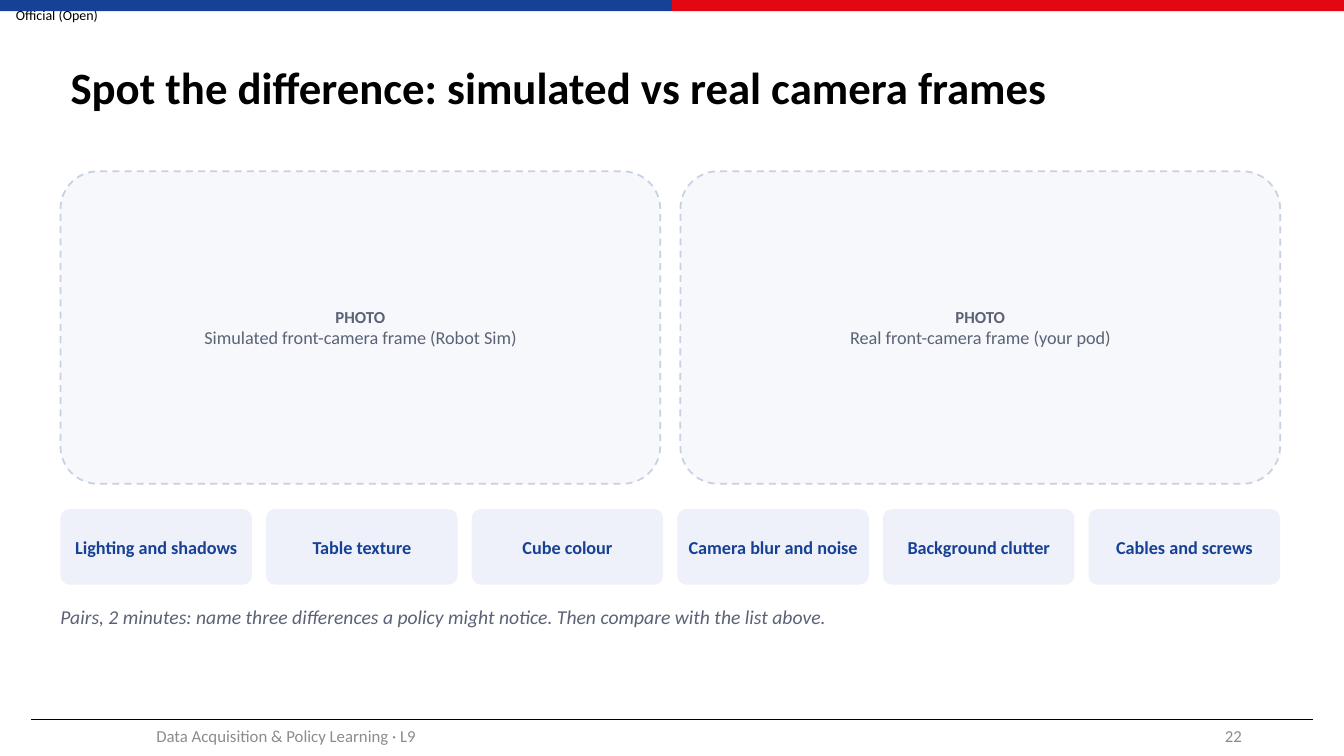
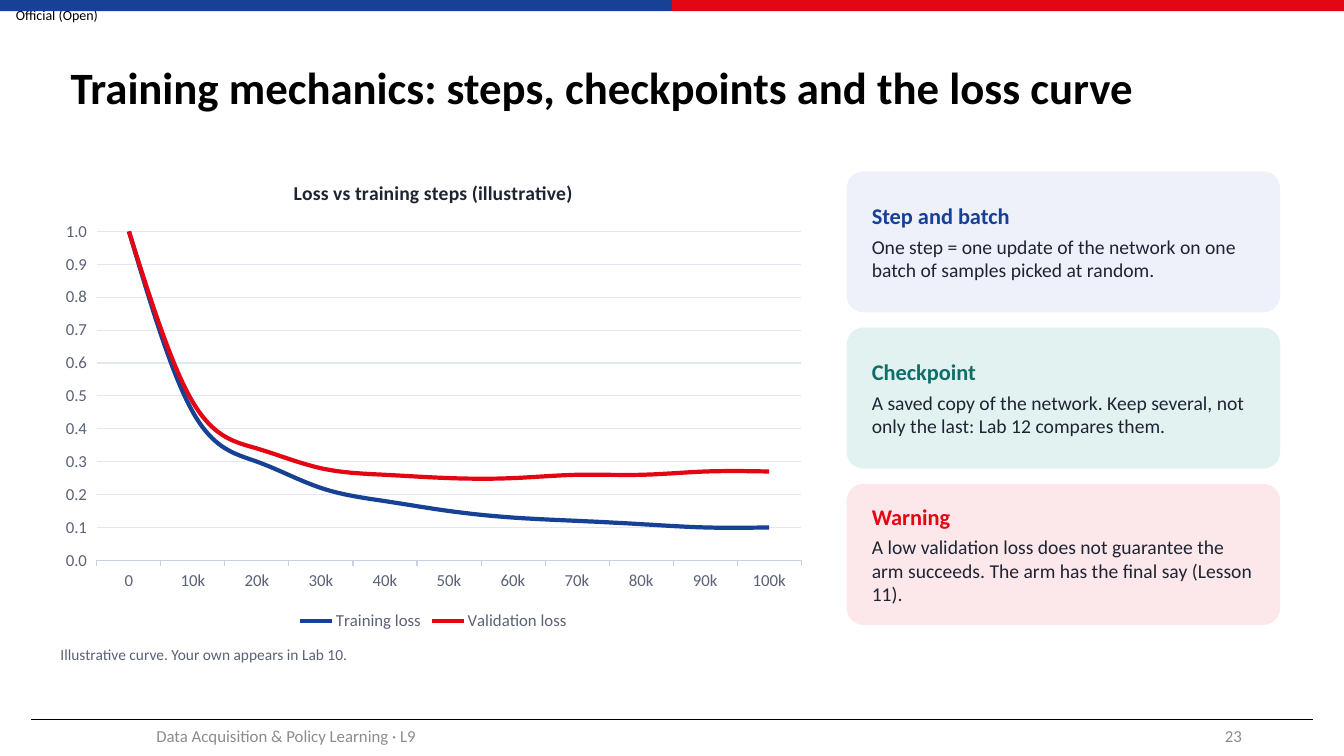
import pptx
import pptx.chart.data
import pptx.dml.color
import pptx.enum.chart
import pptx.enum.dml
import pptx.enum.shapes
import pptx.enum.text
import pptx.oxml
import pptx.util
from lxml import etree

Pt = pptx.util.Pt
RGBColor = pptx.dml.color.RGBColor
ALIGN = pptx.enum.text.PP_ALIGN
ANCHOR = pptx.enum.text.MSO_ANCHOR
SHAPE = pptx.enum.shapes.MSO_SHAPE

FONT = "Calibri"
BLACK = RGBColor(0x00, 0x00, 0x00)
BLUE = RGBColor(0x16, 0x41, 0x94)
RED = RGBColor(0xE3, 0x06, 0x13)
TEAL = RGBColor(0x0F, 0x6E, 0x6A)
INK = RGBColor(0x1F, 0x24, 0x33)
SLATE = RGBColor(0x5B, 0x62, 0x75)
GREY = RGBColor(0x8C, 0x8C, 0x8C)
BORDER = RGBColor(0xC9, 0xD0, 0xE3)
GRID = RGBColor(0xE3, 0xE7, 0xF0)
PALE_GREY = RGBColor(0xF7, 0xF8, 0xFC)
PALE_BLUE = RGBColor(0xEE, 0xF1, 0xF9)
PALE_TEAL = RGBColor(0xE2, 0xF2, 0xF1)
PALE_RED = RGBColor(0xFC, 0xE8, 0xEA)

SLIDE_WIDTH, SLIDE_HEIGHT = 960, 540
LEFT, TOP, CONTENT_WIDTH = 43.2, 122.4, 871.2
CORNER = 0.12

TITLE = {"size": Pt(32), "bold": True, "color": BLACK}
TAG = {"size": Pt(10), "color": BLACK}
FOOTER = {"size": Pt(12), "color": GREY}
PHOTO_LABEL = {"size": Pt(12), "bold": True, "color": SLATE}
PHOTO_TEXT = {"size": Pt(13), "bold": False, "color": SLATE}
CHIP = {"size": Pt(13), "bold": True, "color": BLUE}
TASK = {"size": Pt(14), "italic": True, "color": SLATE}
CAPTION = {"size": Pt(11), "color": SLATE}
CARD_TEXT = {"size": Pt(14), "bold": False, "color": INK}
CHART_TEXT = {"size": Pt(12), "color": SLATE}
CHART_TITLE = {"size": Pt(14), "bold": True, "color": INK}

FOOTER_TEXT = "Data Acquisition & Policy Learning · L9"
DIFFERENCES = [
    "Lighting and shadows", "Table texture", "Cube colour",
    "Camera blur and noise", "Background clutter", "Cables and screws",
]
STEPS = ["0"] + [f"{thousands}k" for thousands in range(10, 101, 10)]
LOSSES = [
    ("Training loss", BLUE,
     [1, 0.45, 0.3, 0.22, 0.18, 0.15, 0.13, 0.12, 0.11, 0.1, 0.1]),
    ("Validation loss", RED,
     [1, 0.48, 0.34, 0.28, 0.26, 0.25, 0.25, 0.26, 0.26, 0.27, 0.27]),
]
CARDS = [
    ("Step and batch", BLUE, PALE_BLUE,
     "One step = one update of the network on one batch of samples picked at random."),
    ("Checkpoint", TEAL, PALE_TEAL,
     "A saved copy of the network. Keep several, not only the last: Lab 12 compares them."),
    ("Warning", RED, PALE_RED,
     "A low validation loss does not guarantee the arm succeeds. "
     "The arm has the final say (Lesson 11)."),
]


def points(*lengths):
    return [Pt(length) for length in lengths]


def format_font(font, formats):
    for name, value in {"name": FONT, **formats}.items():
        if name == "color":
            font.color.rgb = value
        else:
            setattr(font, name, value)


def write(shape, lines, align=ALIGN.LEFT, anchor=ANCHOR.MIDDLE,
          margins=(7.2, 3.6), space_after=0):
    """Fill a shape with (text, font formats) paragraphs; margins are side, top and bottom."""
    frame = shape.text_frame
    side, edge = points(*margins)
    frame_formats = {
        "word_wrap": True, "vertical_anchor": anchor,
        "auto_size": pptx.enum.text.MSO_AUTO_SIZE.NONE,
        "margin_left": side, "margin_right": side,
        "margin_top": edge, "margin_bottom": edge,
    }
    for name, value in frame_formats.items():
        setattr(frame, name, value)
    for index, (text, formats) in enumerate(lines):
        paragraph = frame.add_paragraph() if index else frame.paragraphs[0]
        paragraph.alignment = align
        if index < len(lines) - 1:
            paragraph.space_after = Pt(space_after)
        run = paragraph.add_run()
        run.text = text
        format_font(run.font, formats)


def add_text(slide, box, text, formats, **layout):
    shape = slide.shapes.add_textbox(*points(*box))
    write(shape, [(text, formats)], **layout)


def add_panel(slide, box, fill, kind=SHAPE.ROUNDED_RECTANGLE):
    shape = slide.shapes.add_shape(kind, *points(*box))
    shape.shadow.inherit = False
    shape.fill.solid()
    shape.fill.fore_color.rgb = fill
    shape.line.fill.background()
    if kind == SHAPE.ROUNDED_RECTANGLE:
        shape.adjustments[0] = CORNER
    return shape


def add_rule(slide, left, right, top):
    rule = slide.shapes.add_connector(
        pptx.enum.shapes.MSO_CONNECTOR.STRAIGHT, *points(left, top, right, top))
    rule.line.color.rgb = BLACK
    rule.line.width = Pt(0.5)
    etree.SubElement(rule._element.spPr, pptx.oxml.ns.qn("a:effectLst"))


def add_slide(presentation, title, number):
    """Add a slide with the shared bands, tag, title and footer."""
    slide = presentation.slides.add_slide(presentation.slide_layouts[5])
    half = SLIDE_WIDTH / 2
    add_text(slide, (0, 0, 81.4, 20.9), "Official (Open)", TAG,
             align=ALIGN.CENTER, margins=(0, 0))
    for index, color in enumerate((BLUE, RED)):
        add_panel(slide, (index * half, 0, half, 7.9), color, SHAPE.RECTANGLE)
    add_rule(slide, 22.3, 938.2, 514.1)
    heading = slide.shapes.title
    heading.left, heading.top, heading.width, heading.height = points(LEFT, 21.6, 869.8, 85)
    write(heading, [(title, TITLE)])
    heading.text_frame.paragraphs[0].line_spacing = 0.9
    add_text(slide, (42.5, 511.2, 324, 28.8), FOOTER_TEXT, FOOTER, align=ALIGN.CENTER)
    add_text(slide, (678.2, 511.2, 216, 28.8), str(number), FOOTER, align=ALIGN.RIGHT)
    return slide


def add_photo_frame(slide, box, description):
    frame = add_panel(slide, box, PALE_GREY)
    frame.line.color.rgb = BORDER
    frame.line.width = Pt(1.25)
    frame.line.dash_style = pptx.enum.dml.MSO_LINE.DASH
    write(frame, [("PHOTO", PHOTO_LABEL), (description, PHOTO_TEXT)],
          align=ALIGN.CENTER, margins=(8.6, 4.3))


def add_chip(slide, box, text):
    write(add_panel(slide, box, PALE_BLUE), [(text, CHIP)],
          align=ALIGN.CENTER, margins=(4.3, 2.9))


def add_card(slide, box, heading, color, fill, text):
    heading_format = {"size": Pt(16), "bold": True, "color": color}
    write(add_panel(slide, box, fill), [(heading, heading_format), (text, CARD_TEXT)],
          margins=(14.4, 7.2), space_after=4)


def add_loss_chart(slide, box):
    data = pptx.chart.data.CategoryChartData()
    data.categories = STEPS
    for name, _, values in LOSSES:
        data.add_series(name, values)
    chart = slide.shapes.add_chart(
        pptx.enum.chart.XL_CHART_TYPE.LINE, *points(*box), data).chart
    format_font(chart.font, CHART_TEXT)

    chart.has_title = True
    title_run = chart.chart_title.text_frame.paragraphs[0].add_run()
    title_run.text = "Loss vs training steps (illustrative)"
    format_font(title_run.font, CHART_TITLE)
    chart.chart_title.include_in_layout = False

    chart.has_legend = True
    chart.legend.position = pptx.enum.chart.XL_LEGEND_POSITION.BOTTOM
    chart.legend.include_in_layout = False
    format_font(chart.legend.font, CHART_TEXT)

    plot = chart.plots[0]
    plot.vary_by_categories = False
    for series, (_, color, _) in zip(plot.series, LOSSES):
        series.smooth = True
        series.format.line.color.rgb = color
        series.format.line.width = Pt(3)

    steps, loss = chart.category_axis, chart.value_axis
    for axis in (steps, loss):
        format_font(axis.tick_labels.font, CHART_TEXT)
    axis_formats = {"minimum_scale": 0, "maximum_scale": 1, "major_unit": 0.1,
                    "has_major_gridlines": True}
    for name, value in axis_formats.items():
        setattr(loss, name, value)
    loss.tick_labels.number_format = "0.0"
    loss.tick_labels.number_format_is_linked = False
    loss.format.line.fill.background()
    for line, color in ((steps.format.line, BORDER), (loss.major_gridlines.format.line, GRID)):
        line.color.rgb = color
        line.width = Pt(0.75)


def build_comparison(presentation):
    slide = add_slide(presentation, "Spot the difference: simulated vs real camera frames", 22)
    photo_gap = 14.4
    photo_width = (CONTENT_WIDTH - photo_gap) / 2
    descriptions = ("Simulated front-camera frame (Robot Sim)",
                    "Real front-camera frame (your pod)")
    for index, description in enumerate(descriptions):
        left = LEFT + index * (photo_width + photo_gap)
        add_photo_frame(slide, (left, TOP, photo_width, 223.2), description)

    chip_width = 136.8
    chip_step = (CONTENT_WIDTH - chip_width) / (len(DIFFERENCES) - 1)
    for index, difference in enumerate(DIFFERENCES):
        add_chip(slide, (LEFT + index * chip_step, 363.6, chip_width, 54), difference)
    add_text(slide, (LEFT, 432, CONTENT_WIDTH, 36),
             "Pairs, 2 minutes: name three differences a policy might notice. "
             "Then compare with the list above.",
             TASK, anchor=ANCHOR.TOP, margins=(0, 0))


def build_training(presentation):
    slide = add_slide(presentation, "Training mechanics: steps, checkpoints and the loss curve", 23)
    add_loss_chart(slide, (36, 115.2, 547.2, 338.4))
    add_text(slide, (LEFT, 460.8, 532.8, 21.6),
             "Illustrative curve. Your own appears in Lab 10.",
             CAPTION, anchor=ANCHOR.TOP, margins=(0, 0))
    card_width, card_height, card_gap = 309.6, 100.8, 10.8
    card_left = LEFT + CONTENT_WIDTH - card_width
    for index, card in enumerate(CARDS):
        top = TOP + index * (card_height + card_gap)
        add_card(slide, (card_left, top, card_width, card_height), *card)


def main():
    presentation = pptx.Presentation()
    presentation.slide_width, presentation.slide_height = points(SLIDE_WIDTH, SLIDE_HEIGHT)
    build_comparison(presentation)
    build_training(presentation)
    presentation.save("out.pptx")


if __name__ == "__main__":
    main()
